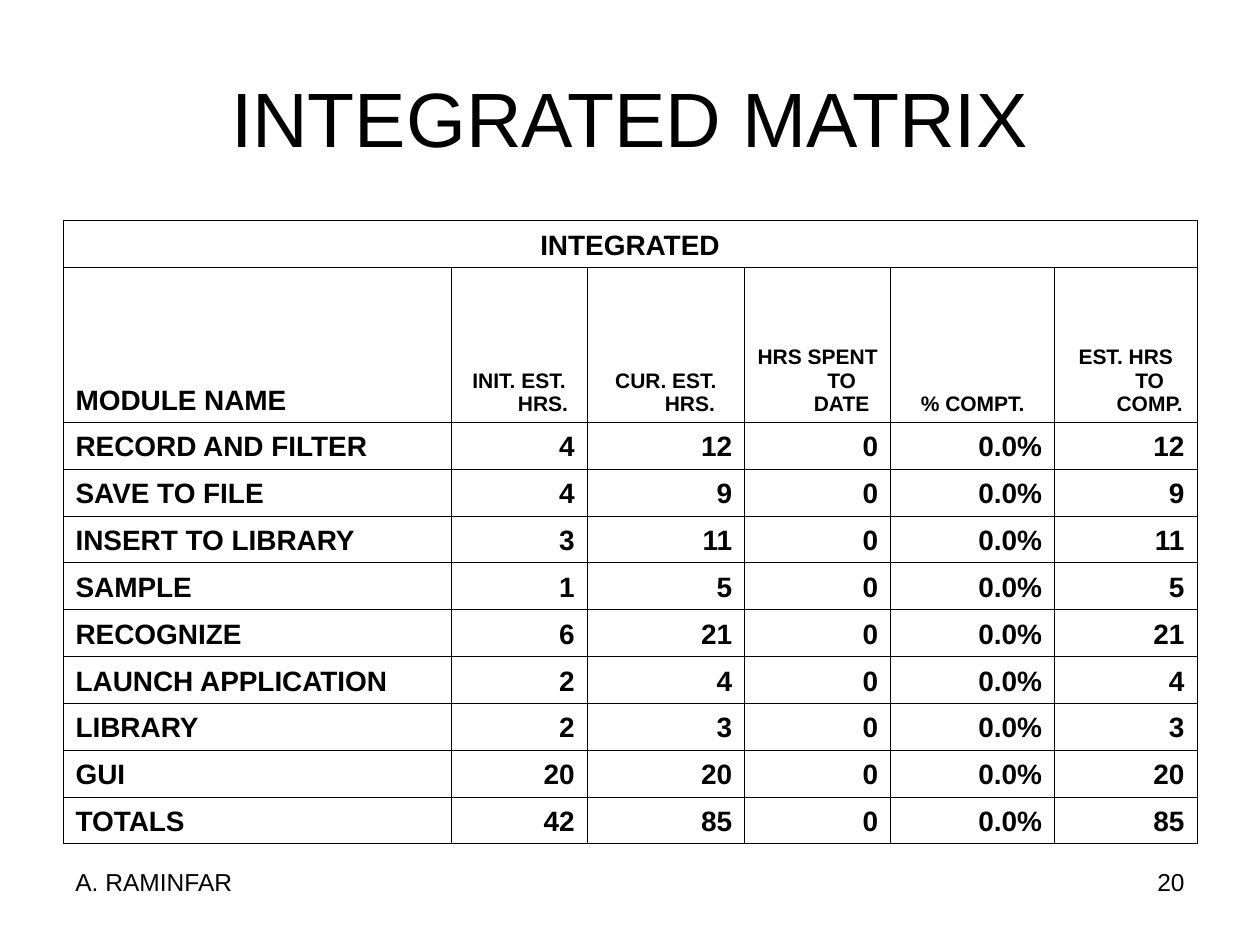
import dataclasses

import lxml.etree
import pptx
import pptx.dml.color
import pptx.enum.text
import pptx.oxml.ns
import pptx.util

Inches = pptx.util.Inches
Pt = pptx.util.Pt
ALIGN = pptx.enum.text.PP_ALIGN
ANCHOR = pptx.enum.text.MSO_ANCHOR

COLORS = {"ink": "000000"}
FONT = "Arial"
HANGING = 0.38
COLUMN_WIDTHS = [3.08, 1.08, 1.25, 1.16, 1.3, 1.13]
TABLE_HEIGHT = 4.95
HEADER_HEIGHT = 1.23
HEADERS = ["MODULE NAME", "INIT. EST. HRS.", "CUR. EST. HRS.",
           "HRS SPENT TO DATE", "% COMPT.", "EST. HRS TO COMP."]


@dataclasses.dataclass
class Module:
    name: str
    initial: int
    current: int
    spent: int = 0

    def row(self) -> list[str]:
        return [self.name, str(self.initial), str(self.current), str(self.spent),
                f"{self.spent / self.current:.1%}", str(self.current - self.spent)]


@dataclasses.dataclass
class Footer:
    text: str
    left: float
    align: ALIGN


MODULES = [
    Module("RECORD AND FILTER", 4, 12),
    Module("SAVE TO FILE", 4, 9),
    Module("INSERT TO LIBRARY", 3, 11),
    Module("SAMPLE", 1, 5),
    Module("RECOGNIZE", 6, 21),
    Module("LAUNCH APPLICATION", 2, 4),
    Module("LIBRARY", 2, 3),
    Module("GUI", 20, 20),
]
TOTALS = Module("TOTALS", sum(m.initial for m in MODULES),
                sum(m.current for m in MODULES), sum(m.spent for m in MODULES))
FOOTERS = [Footer("20", 7.17, ALIGN.RIGHT), Footer("A. RAMINFAR", 0.5, ALIGN.LEFT)]


def write(frame, text: str, size: int, align: ALIGN, bold: bool = False) -> None:
    frame.text = text
    paragraph = frame.paragraphs[0]
    paragraph.alignment = align
    for run in paragraph.runs:
        run.font.name = FONT
        run.font.size = Pt(size)
        run.font.bold = bold
        run.font.color.rgb = pptx.dml.color.RGBColor.from_string(COLORS["ink"])


def style_cell(cell) -> None:
    cell.fill.background()
    cell.vertical_anchor = ANCHOR.BOTTOM
    cell.margin_left = cell.margin_right = Inches(0.1)
    cell.margin_top = cell.margin_bottom = Inches(0.05)
    qn = pptx.oxml.ns.qn
    properties = cell._tc.get_or_add_tcPr()
    for position, side in enumerate(["lnL", "lnR", "lnT", "lnB"]):
        border = lxml.etree.Element(qn(f"a:{side}"), w=str(Pt(0.45)))
        fill = lxml.etree.SubElement(border, qn("a:solidFill"))
        lxml.etree.SubElement(fill, qn("a:srgbClr"), val=COLORS["ink"])
        properties.insert(position, border)


def write_cell(cell, text: str, size: int, align: ALIGN) -> None:
    write(cell.text_frame, text, size, align, bold=True)
    indents = cell.text_frame.paragraphs[0]._p.get_or_add_pPr()
    indents.set("marL", str(Inches(HANGING)))
    indents.set("indent", str(Inches(-HANGING)))


def draw_matrix(slide) -> None:
    rows = [HEADERS] + [module.row() for module in MODULES + [TOTALS]]
    matrix = slide.shapes.add_table(
        len(rows) + 1, len(HEADERS), Inches(0.5), Inches(1.75),
        Inches(sum(COLUMN_WIDTHS)), Inches(TABLE_HEIGHT)).table
    matrix.first_row = matrix.horz_banding = False
    for column, width in zip(matrix.columns, COLUMN_WIDTHS):
        column.width = Inches(width)
    for row in matrix.rows:
        row.height = Inches((TABLE_HEIGHT - HEADER_HEIGHT) / len(rows))
    matrix.rows[1].height = Inches(HEADER_HEIGHT)
    for cell in matrix.iter_cells():
        style_cell(cell)

    matrix.cell(0, 0).merge(matrix.cell(0, len(HEADERS) - 1))
    write_cell(matrix.cell(0, 0), "INTEGRATED", 16, ALIGN.CENTER)
    for r, values in enumerate(rows, start=1):
        for c, value in enumerate(values):
            if c == 0:
                size, align = 16, ALIGN.LEFT
            elif r == 1:
                size, align = 12, ALIGN.CENTER
            else:
                size, align = 16, ALIGN.RIGHT
            write_cell(matrix.cell(r, c), value, size, align)


def draw_footer(slide, footer: Footer) -> None:
    box = slide.shapes.add_textbox(
        Inches(footer.left), Inches(6.83), Inches(2.33), Inches(0.52))
    box.text_frame.word_wrap = True
    write(box.text_frame, footer.text, 14, footer.align)


def main() -> None:
    deck = pptx.Presentation()
    deck.slide_width, deck.slide_height = Inches(10), Inches(7.5)
    slide = deck.slides.add_slide(deck.slide_layouts[5])
    title = slide.shapes.title
    title.left, title.top = Inches(0.5), Inches(0.3)
    title.width, title.height = Inches(9), Inches(1.25)
    title.text_frame.vertical_anchor = ANCHOR.MIDDLE
    write(title.text_frame, "INTEGRATED MATRIX", 44, ALIGN.CENTER)
    draw_matrix(slide)
    for footer in FOOTERS:
        draw_footer(slide, footer)
    deck.save("out.pptx")


if __name__ == "__main__":
    main()
